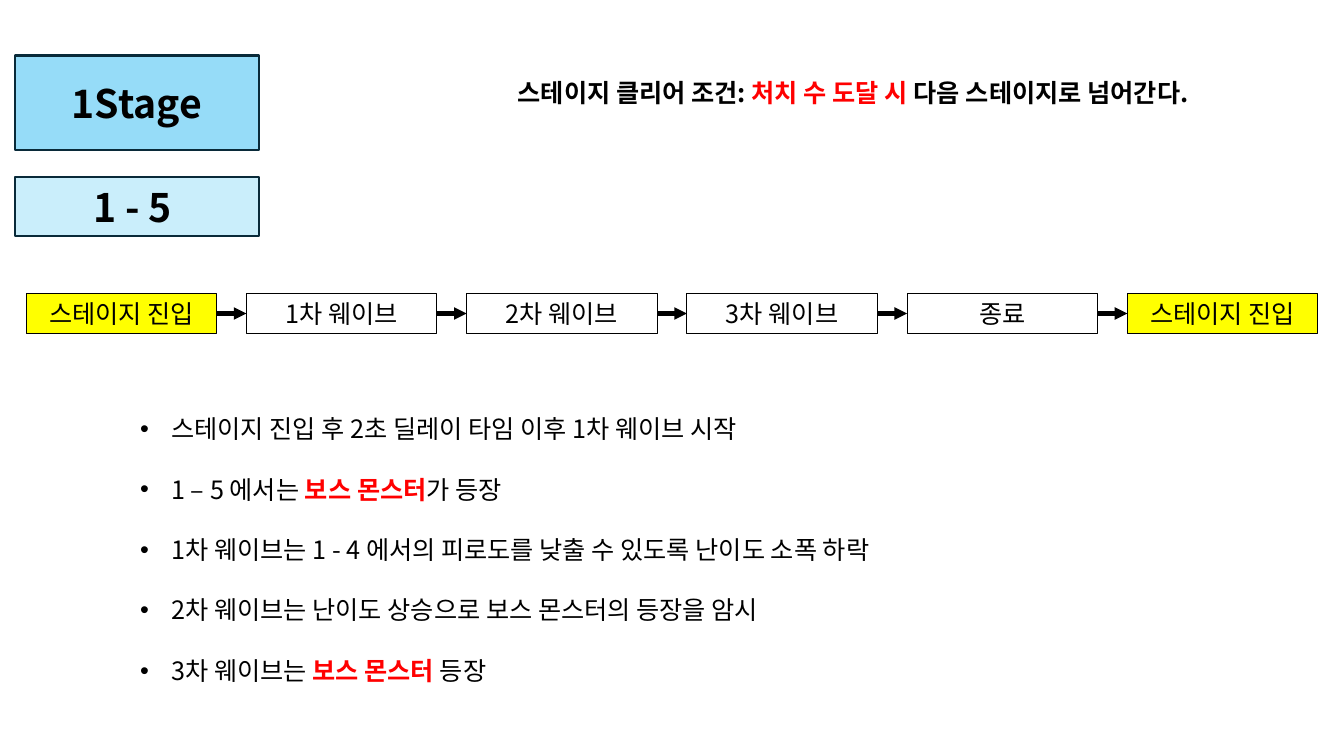
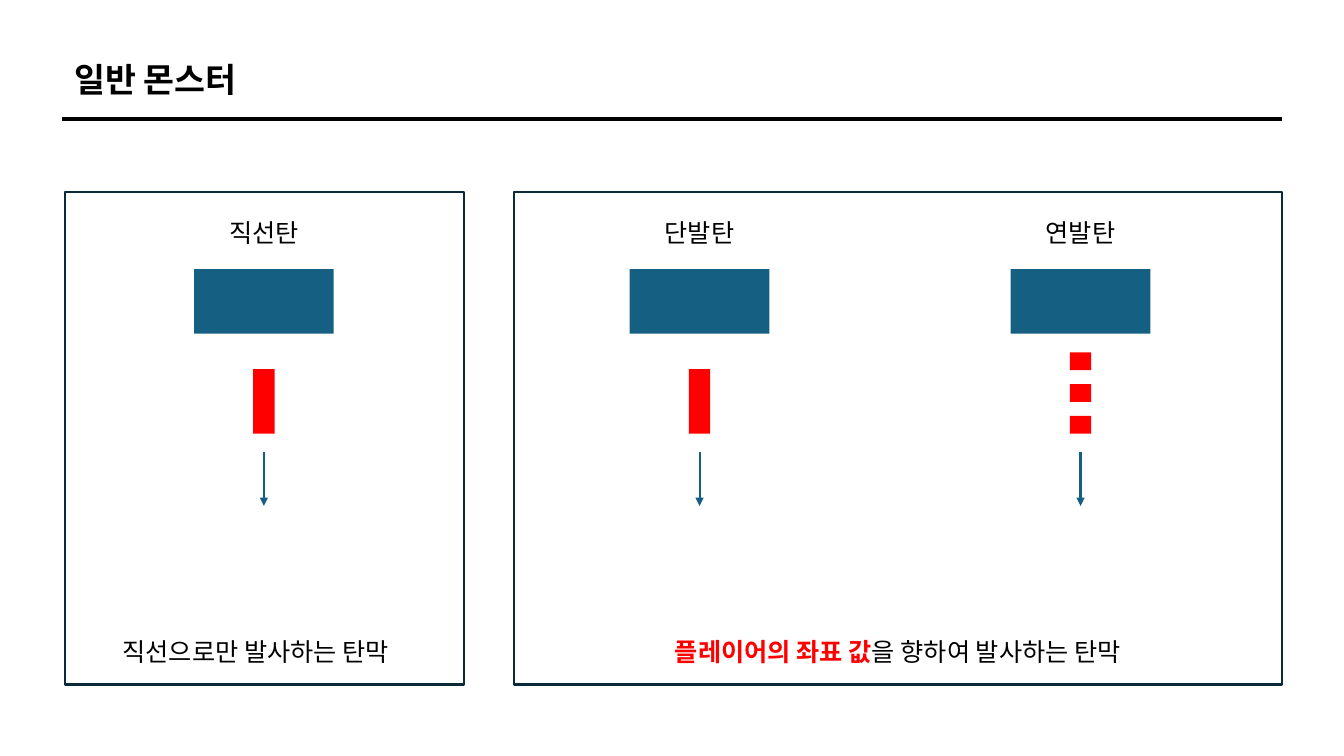
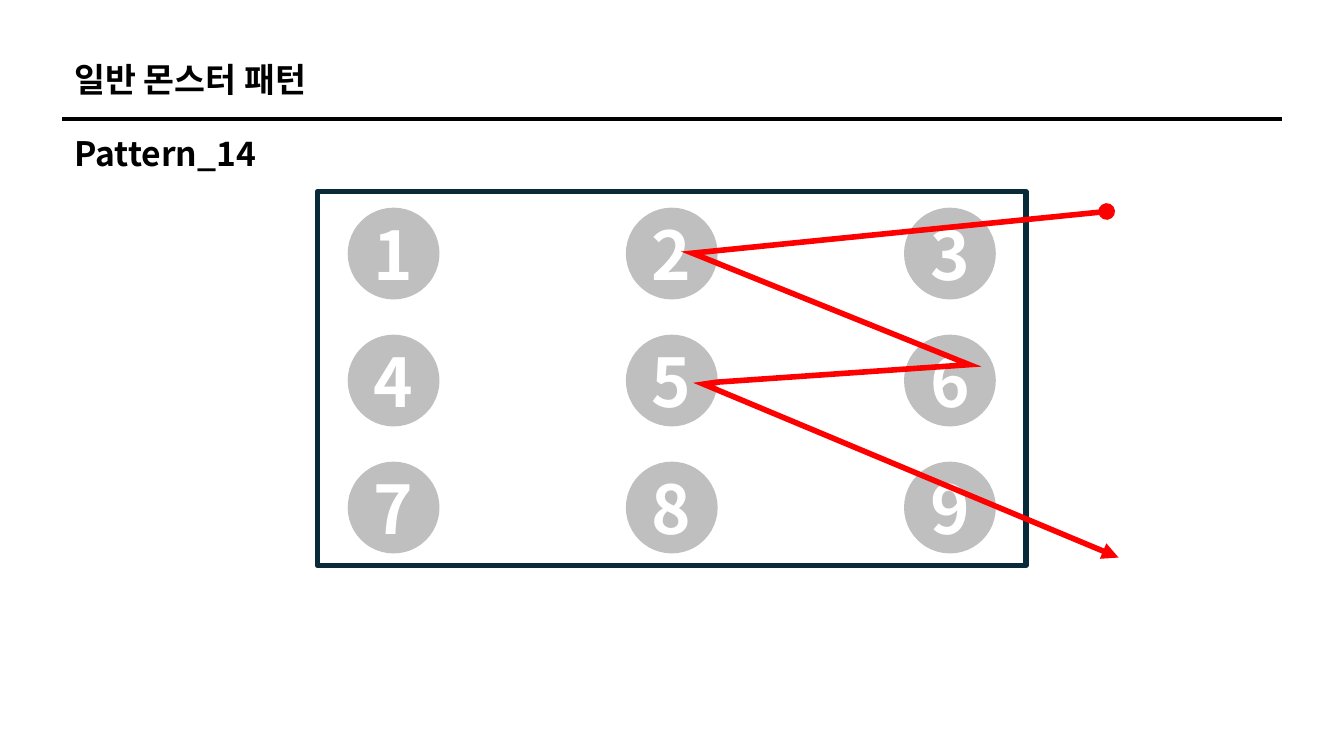
from lxml.etree import SubElement
from pptx import Presentation
from pptx.dml.color import RGBColor
from pptx.enum.shapes import MSO_CONNECTOR, MSO_SHAPE
from pptx.enum.text import MSO_ANCHOR, PP_ALIGN
from pptx.oxml.ns import qn
from pptx.util import Cm, Pt

FONT = "Noto Sans CJK KR"
BLACK = "000000"
WHITE = "FFFFFF"
RED = "FF0000"
NAVY = "092A39"
TEAL = "156082"
YELLOW = "FFFF00"
SKY = "96DCF8"
PALE_SKY = "CAEEFB"


def colour(value):
    return RGBColor.from_string(value)


def lengths(*values):
    return [Cm(value) for value in values]


def set_font(font, size, tint, bold):
    font.size = Pt(size)
    font.name = FONT
    font.bold = bold
    font.color.rgb = colour(tint)
    SubElement(font._element, qn("a:ea"), typeface=FONT)


def write_line(para, content, size=18, tint=BLACK, bold=False, align=PP_ALIGN.LEFT):
    para.alignment = align
    set_font(para.font, size, tint, bold)
    spans = [content] if isinstance(content, str) else content
    for item in spans:
        text, highlighted = (item, False) if isinstance(item, str) else item
        span = para.add_run()
        span.text = text
        if highlighted:
            span.font.bold = True
            span.font.color.rgb = colour(RED)


def strong(text):
    return text, True


def add_text(page, place, content, **style):
    box = page.shapes.add_textbox(*lengths(*place))
    box.text_frame.word_wrap = True
    write_line(box.text_frame.paragraphs[0], content, **style)


def add_bullets(page, place, items):
    box = page.shapes.add_textbox(*lengths(*place))
    frame = box.text_frame
    frame.word_wrap = True
    for index, item in enumerate(items):
        para = frame.add_paragraph() if index else frame.paragraphs[0]
        para.line_spacing = 2.0
        properties = para._p.get_or_add_pPr()
        properties.set("marL", str(Cm(0.79)))
        properties.set("indent", str(-Cm(0.79)))
        SubElement(properties, qn("a:buFont"), typeface="Arial")
        SubElement(properties, qn("a:buChar"), char="•")
        write_line(para, item)


def add_box(page, place, fill=None, line=None, width=1.5, kind=MSO_SHAPE.RECTANGLE):
    box = page.shapes.add_shape(kind, *lengths(*place))
    box.shadow.inherit = False
    if fill:
        box.fill.solid()
        box.fill.fore_color.rgb = colour(fill)
    else:
        box.fill.background()
    if line:
        box.line.color.rgb = colour(line)
        box.line.width = Pt(width)
    else:
        box.line.fill.background()
    return box


def add_label(box, text, anchor=MSO_ANCHOR.MIDDLE, **style):
    box.text_frame.vertical_anchor = anchor
    write_line(box.text_frame.paragraphs[0], text, align=PP_ALIGN.CENTER, **style)


def add_line(page, start, end, tint, width, arrow=False):
    line = page.shapes.add_connector(MSO_CONNECTOR.STRAIGHT, *lengths(*start, *end))
    line.line.color.rgb = colour(tint)
    line.line.width = Pt(width)
    if arrow:
        SubElement(line.line._get_or_add_ln(), qn("a:tailEnd"), type="triangle")
    SubElement(line._element.spPr, qn("a:effectLst"))


def add_title(page, text):
    add_text(page, (1.63, 1.35, 16.03, 1.27), text, size=24, bold=True)
    add_line(page, (1.57, 3), (32.31, 3), BLACK, 2.75)


def add_flow(page, steps):
    left, top, width, height, pitch = 0.66, 7.39, 4.8, 1.02, 5.55
    middle = top + height / 2
    for index, step in enumerate(steps):
        x = left + index * pitch
        is_end = index in (0, len(steps) - 1)
        box = add_box(page, (x, top, width, height), YELLOW if is_end else None, BLACK, 0.75)
        add_label(box, step, MSO_ANCHOR.TOP)
        if index:
            add_line(page, (x - pitch + width, middle), (x, middle), BLACK, 3, True)


def add_shooter(page, center, name, shot_tops, shot_height):
    add_text(page, (center - 2.12, 5.36, 4.24, 1.02), name, align=PP_ALIGN.CENTER)
    add_box(page, (center - 1.76, 6.78, 3.52, 1.63), TEAL)
    for top in shot_tops:
        add_box(page, (center - 0.27, top, 0.54, shot_height), RED)
    add_line(page, (center, 11.38), (center, 12.75), TEAL, 1.5, True)


def add_route(page, points):
    start, *rest = [lengths(*point) for point in points]
    builder = page.shapes.build_freeform(*start, scale=1.0)
    builder.add_line_segments(rest, close=False)
    route = builder.convert_to_shape()
    route.shadow.inherit = False
    route.fill.background()
    route.line.color.rgb = colour(RED)
    route.line.width = Pt(4)
    outline = route.line._get_or_add_ln()
    SubElement(outline, qn("a:miter"), lim="800000")
    SubElement(outline, qn("a:headEnd"), type="oval")
    SubElement(outline, qn("a:tailEnd"), type="triangle")


def build_stage(page):
    stage = add_box(page, (0.38, 1.4, 6.15, 2.39), SKY, NAVY)
    add_label(stage, "1Stage", size=28, bold=True)
    level = add_box(page, (0.38, 4.47, 6.15, 1.47), PALE_SKY, NAVY)
    add_label(level, "1 - 5 ", size=28, bold=True)
    condition = ["스테이지 클리어 조건: ", strong("처치 수 도달 시 "), "다음 스테이지로 넘어간다."]
    add_text(page, (12.8, 1.83, 20.22, 1.02), condition, bold=True)
    add_flow(page, ["스테이지 진입", "1차 웨이브", "2차 웨이브", "3차 웨이브", "종료", "스테이지 진입"])
    add_bullets(page, (3.28, 9.53, 27.74, 7.7), [
        "스테이지 진입 후 2초 딜레이 타임 이후 1차 웨이브 시작",
        ["1 – 5 에서는 ", strong("보스 몬스터"), "가 등장"],
        "1차 웨이브는 1 - 4 에서의 피로도를 낮출 수 있도록 난이도 소폭 하락",
        "2차 웨이브는 난이도 상승으로 보스 몬스터의 등장을 암시",
        ["3차 웨이브는 ", strong("보스 몬스터 "), "등장"],
    ])


def build_monsters(page):
    add_title(page, "일반 몬스터")
    for left, width in ((1.63, 10.06), (12.95, 19.35)):
        add_box(page, (left, 4.83, width, 12.42), line=NAVY)
    add_shooter(page, 6.65, "직선탄", [9.3], 1.63)
    add_shooter(page, 17.63, "단발탄", [9.3], 1.63)
    add_shooter(page, 27.23, "연발탄", [8.88 + 0.8 * index for index in range(3)], 0.45)
    add_text(page, (2.84, 15.9, 8.08, 1.02), "직선으로만 발사하는 탄막")
    aimed = [strong("플레이어의 좌표 값"), "을 향하여 발사하는 탄막"]
    add_text(page, (13.94, 15.9, 17.37, 1.02), aimed, align=PP_ALIGN.CENTER)


def build_pattern(page):
    add_title(page, "일반 몬스터 패턴")
    add_text(page, (1.63, 3.23, 16.03, 1.27), "Pattern_14", size=24, bold=True)
    for index in range(9):
        row, column = divmod(index, 3)
        place = (8.79 + 7.01 * column, 5.26 + 3.2 * row, 2.26, 2.26)
        spot = add_box(page, place, BLACK, BLACK, kind=MSO_SHAPE.OVAL)
        add_label(spot, str(index + 1), size=48, tint=WHITE, bold=True)
    field = add_box(page, (8, 4.83, 17.86, 9.42), WHITE, NAVY, 4)
    fill_colour = field._element.spPr.find(qn("a:solidFill")).find(qn("a:srgbClr"))
    SubElement(fill_colour, qn("a:alpha"), val="75000")
    add_route(page, [(27.89, 5.33), (17.45, 6.38), (24.43, 9.19),
                     (18.08, 9.63), (17.73, 9.68), (28.19, 14.05)])


def main():
    deck = Presentation()
    deck.slide_width, deck.slide_height = lengths(33.87, 19.05)
    for build in (build_stage, build_monsters, build_pattern):
        build(deck.slides.add_slide(deck.slide_layouts[6]))
    deck.save("out.pptx")


if __name__ == "__main__":
    main()
